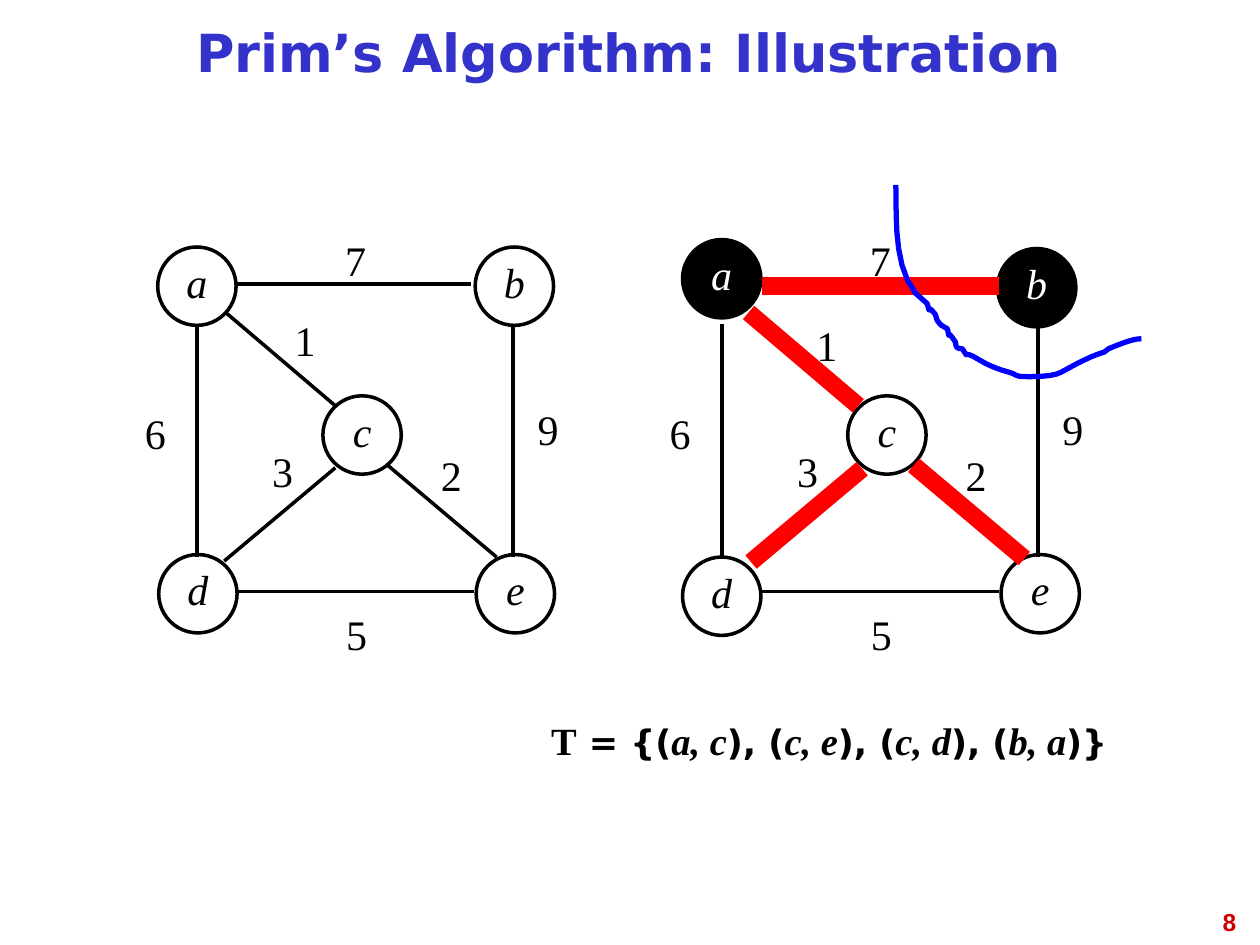
from lxml import etree
from pptx import Presentation
from pptx.dml.color import RGBColor
from pptx.enum.shapes import MSO_CONNECTOR as Connector, MSO_SHAPE as Shape
from pptx.enum.text import MSO_ANCHOR as Anchor, PP_ALIGN as Align
from pptx.oxml.ns import qn
from pptx.util import Cm, Pt

SERIF, SANS = "Times New Roman", "DejaVu Sans"
BLACK, WHITE, RED, BLUE = "000000", "FFFFFF", "FF0000", "0000FF"
NODE_SIZE = 1.58

# Places in cm, relative to the top left corner of a graph
NODES = {"a": (0.84, 0.53), "b": (7.24, 0.53), "c": (4.17, 3.53),
         "d": (0.86, 6.73), "e": (7.26, 6.73)}
EDGES = {"ab": (2.39, 1.27, 7.16, 1.27), "de": (2.44, 7.47, 7.21, 7.47),
         "ad": (1.63, 6.78, 1.63, 2.08), "be": (8, 6.78, 8, 2.08),
         "ac": (2.21, 1.85, 4.42, 3.73), "ce": (5.44, 4.9, 7.67, 6.78),
         "cd": (4.42, 4.98, 2.18, 6.86)}
WEIGHTS = {"6": (0, 3.48), "1": (3.02, 1.6), "2": (5.97, 4.32), "3": (2.57, 4.24),
           "5": (4.06, 7.54), "9": (7.92, 3.4), "7": (4.04, 0)}

# Small shifts of parts in the graph with the tree
TREE_SHIFTS = {"a": (0, -0.15), "b": (-0.05, 0.03), "d": (-0.02, 0.05),
               "ab": (0.06, 0.05), "ac": (-0.04, 0), "ce": (0.06, 0.03),
               "cd": (0.04, 0.02), "1": (-0.06, 0.1)}

# Start of the cut line, then two control points and an end for each curve
CUT_START = (0.08, 0)
CUT_CURVES = [
    ((0.1, 0.69), (0, 1.93), (0.71, 2.39)),
    ((0.81, 2.69), (0.66, 2.34), (0.86, 2.59)),
    ((0.89, 2.62), (0.89, 2.67), (0.91, 2.72)),
    ((0.99, 2.84), (0.99, 2.82), (1.12, 2.9)),
    ((1.19, 3.2), (1.07, 2.84), (1.27, 3.15)),
    ((1.3, 3.18), (1.27, 3.23), (1.32, 3.28)),
    ((1.35, 3.3), (1.4, 3.3), (1.42, 3.3)),
    ((1.57, 3.53), (1.42, 3.35), (1.63, 3.45)),
    ((1.91, 3.61), (1.93, 3.63), (2.21, 3.73)),
    ((2.31, 3.76), (2.39, 3.78), (2.46, 3.81)),
    ((2.49, 3.84), (2.59, 3.86), (2.59, 3.86)),
    ((2.59, 3.86), (3.2, 3.89), (3.4, 3.78)),
    ((3.68, 3.63), (3.94, 3.48), (4.24, 3.38)),
    ((4.29, 3.38), (4.32, 3.33), (4.37, 3.3)),
    ((4.55, 3.23), (4.83, 3.1), (5.03, 3.1)),
]


def color(value):
    return RGBColor.from_string(value)


def add_span(para, text, size=24, font=SERIF, ink=BLACK, bold=False, italic=False):
    span = para.add_run()
    span.text = text
    span.font.size, span.font.name = Pt(size), font
    span.font.bold, span.font.italic = bold, italic
    span.font.color.rgb = color(ink)


def format_frame(box, align=Align.CENTER, anchor=Anchor.MIDDLE, wrap=False, spacing=None):
    """Set up the text frame of a box and return its first paragraph."""
    frame = box.text_frame
    frame.word_wrap, frame.vertical_anchor = wrap, anchor
    para = frame.paragraphs[0]
    para.alignment = align
    if spacing:
        para.line_spacing = spacing
    return para


def add_text_box(page, left, top, width, height, **layout):
    box = page.shapes.add_textbox(Cm(left), Cm(top), Cm(width), Cm(height))
    return format_frame(box, **layout)


def add_node(page, left, top, name, visited):
    node = page.shapes.add_shape(Shape.OVAL, Cm(left), Cm(top), Cm(NODE_SIZE), Cm(NODE_SIZE))
    node.shadow.inherit = False
    if visited:
        node.fill.solid()
        node.fill.fore_color.rgb = color(BLACK)
    else:
        node.fill.background()
    node.line.color.rgb, node.line.width = color(BLACK), Pt(2)
    para = format_frame(node, spacing=0.81)
    add_span(para, name, ink=WHITE if visited else BLACK, italic=True)


def add_edge(page, x1, y1, x2, y2, in_tree):
    edge = page.shapes.add_connector(Connector.STRAIGHT, Cm(x1), Cm(y1), Cm(x2), Cm(y2))
    edge.line.color.rgb = color(RED if in_tree else BLACK)
    edge.line.width = Pt(10 if in_tree else 2)
    etree.SubElement(edge._element.spPr, qn("a:effectLst"))


def add_graph(page, left, top, visited=(), tree=(), shifts=None):
    def origin(key):
        dx, dy = (shifts or {}).get(key, (0, 0))
        return left + dx, top + dy

    # Nodes
    for name, (x, y) in NODES.items():
        x0, y0 = origin(name)
        add_node(page, x0 + x, y0 + y, name, name in visited)
    # Weights
    for weight, (x, y) in WEIGHTS.items():
        x0, y0 = origin(weight)
        add_span(add_text_box(page, x0 + x, y0 + y, NODE_SIZE, NODE_SIZE), weight)
    # Edges
    for name, (x1, y1, x2, y2) in EDGES.items():
        x0, y0 = origin(name)
        add_edge(page, x0 + x1, y0 + y1, x0 + x2, y0 + y2, name in tree)


def curve_points(start, curves, steps=8):
    """Points along a chain of cubic Bezier curves."""
    for first, second, end in curves:
        for step in range(1, steps + 1):
            t = step / steps
            u = 1 - t
            yield tuple(u**3 * p + 3 * u * u * t * q + 3 * u * t * t * r + t**3 * s
                        for p, q, r, s in zip(start, first, second, end))
        start = end


def add_cut(page, left, top):
    def place(point):
        return Cm(left + point[0]), Cm(top + point[1])

    builder = page.shapes.build_freeform(*place(CUT_START))
    points = curve_points(CUT_START, CUT_CURVES)
    builder.add_line_segments([place(point) for point in points], close=False)
    cut = builder.convert_to_shape()
    cut.shadow.inherit = False
    cut.fill.background()
    cut.line.color.rgb, cut.line.width = color(BLUE), Pt(3)


def add_title(page, left, top, width, height, text):
    title = page.shapes.title
    title.left, title.top, title.width, title.height = map(Cm, (left, top, width, height))
    para = format_frame(title, wrap=True, spacing=0.81)
    add_span(para, text, size=30, font=SANS, ink="3333CC", bold=True)


def add_tree_set(page, left, top, width, height, edges):
    para = add_text_box(page, left, top, width, height)
    symbol = {"size": 20, "font": SANS, "bold": True}
    add_span(para, "T", size=22, bold=True)
    add_span(para, " = ", italic=True, **symbol)
    for index, edge in enumerate(edges):
        add_span(para, "), (" if index else "{(", **symbol)
        add_span(para, edge, size=22, bold=True, italic=True)
    add_span(para, ")}", **symbol)


def add_page_number(page, left, top, width, height, number):
    para = add_text_box(page, left, top, width, height,
                        align=Align.RIGHT, anchor=Anchor.TOP, wrap=True)
    add_span(para, number, size=14, font="Arial", ink="CC0000", bold=True)


def main():
    deck = Presentation()
    deck.slide_width, deck.slide_height = Cm(25.4), Cm(19.05)
    page = deck.slides.add_slide(deck.slide_layouts[5])
    add_title(page, 1.27, 0.2, 22.83, 1.9, "Prim’s Algorithm: Illustration")
    add_graph(page, 2.34, 4.45)
    add_graph(page, 12.92, 4.45, visited="ab", tree=("ab", "ac", "ce", "cd"),
              shifts=TREE_SHIFTS)
    add_cut(page, 17.98, 3.73)
    add_tree_set(page, 9.73, 13.97, 13.97, 1.9, ["a, c", "c, e", "c, d", "b, a"])
    add_page_number(page, 19.25, 18.16, 5.92, 1.32, "8")
    deck.save("out.pptx")


if __name__ == "__main__":
    main()
